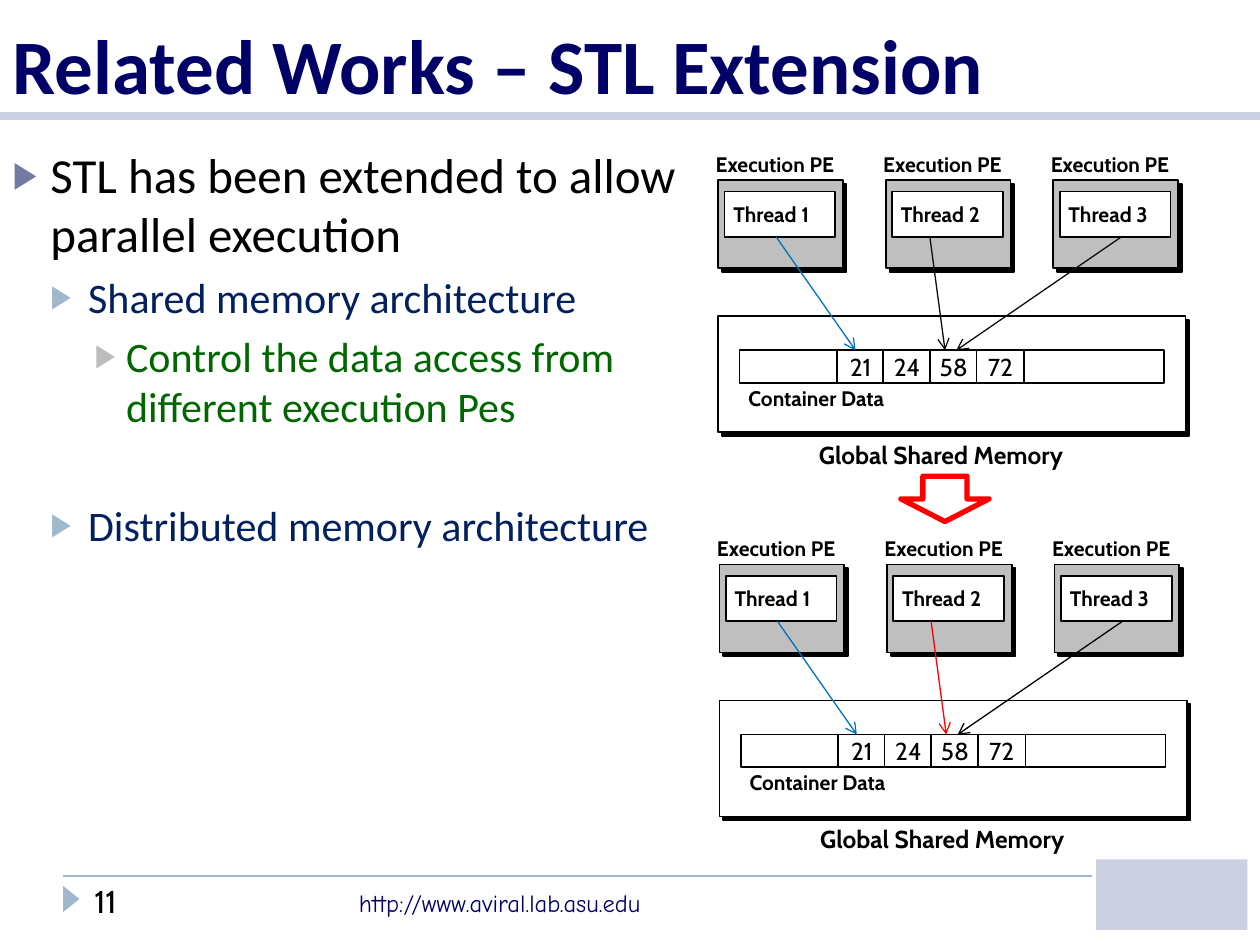
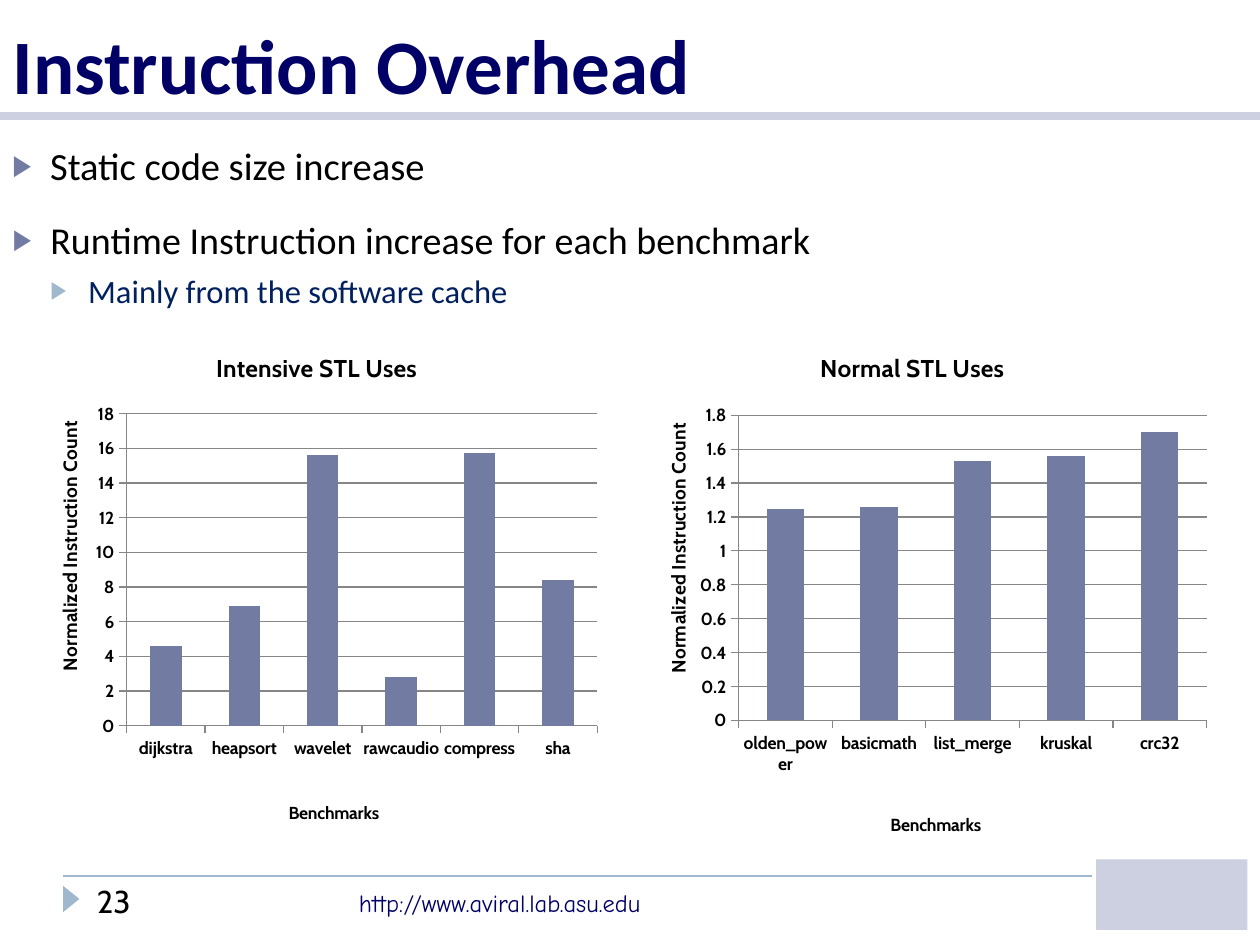
from lxml.etree import SubElement
from pptx import Presentation
from pptx.chart.data import CategoryChartData
from pptx.dml.color import RGBColor
from pptx.enum.chart import XL_CHART_TYPE, XL_TICK_MARK
from pptx.enum.shapes import MSO_CONNECTOR, MSO_SHAPE
from pptx.enum.text import MSO_ANCHOR, MSO_AUTO_SIZE, PP_ALIGN
from pptx.oxml import parse_xml
from pptx.oxml.ns import nsdecls, qn
from pptx.util import Inches, Pt

COLORS = {
    "navy": "000066", "band": "CCD0E0", "sky": "9FB8CD", "slate": "727CA3",
    "silver": "BDBDBD", "black": "000000", "ink": "0D0D0D", "white": "FFFFFF",
    "gray": "BFBFBF", "grid": "868686", "blue": "0070C0", "red": "FF0000",
    "deep": "002060", "green": "006600",
}
LEVELS = [
    {"margin": 0.3, "hang": 0.3, "bullet": "slate", "color": "black"},
    {"margin": 0.6, "hang": 0.3, "bullet": "sky", "color": "deep"},
    {"margin": 0.9, "hang": 0.25, "bullet": "silver", "color": "green"},
]
HEADING_FONT = "Calibri"
LABEL_FONT = "Cabin"


def rgb(name):
    return RGBColor.from_string(COLORS[name])


def style_font(font, size, color="black", face=LABEL_FONT, bold=False):
    font.size = Pt(size)
    font.name = face
    font.bold = bold
    font.color.rgb = rgb(color)


def add_run(paragraph, text, size, color="black", face=LABEL_FONT, bold=False):
    run = paragraph.add_run()
    run.text = text
    style_font(run.font, size, color, face, bold)


def move(shape, left, top, width, height):
    shape.left, shape.top = Inches(left), Inches(top)
    shape.width, shape.height = Inches(width), Inches(height)


def clear_insets(frame):
    frame.margin_left = frame.margin_right = 0
    frame.margin_top = frame.margin_bottom = 0


def add_label(slide, text, left, top, width, height, size, color="black",
              face=LABEL_FONT, bold=False, inset=True):
    frame = slide.shapes.add_textbox(
        Inches(left), Inches(top), Inches(width), Inches(height)).text_frame
    frame.word_wrap = True
    if not inset:
        clear_insets(frame)
    add_run(frame.paragraphs[0], text, size, color, face, bold)


def add_block(slide, left, top, width, height, fill="white", line="black",
              weight=1, preset=MSO_SHAPE.RECTANGLE, shadow=False):
    block = slide.shapes.add_shape(
        preset, Inches(left), Inches(top), Inches(width), Inches(height))
    block.fill.solid()
    block.fill.fore_color.rgb = rgb(fill)
    if line:
        block.line.color.rgb = rgb(line)
        block.line.width = Pt(weight)
    else:
        block.line.fill.background()
    block.shadow.inherit = False
    if shadow:
        effects = block._element.spPr.find(qn("a:effectLst"))
        outer = SubElement(effects, qn("a:outerShdw"), blurRad="0",
                           dist=str(Pt(3)), dir="2700000", algn="tl",
                           rotWithShape="0")
        SubElement(outer, qn("a:srgbClr"), val=COLORS["black"])
    return block


def add_line(slide, start, end, color, weight, arrow=False):
    line = slide.shapes.add_connector(
        MSO_CONNECTOR.STRAIGHT, *(Inches(value) for value in start + end))
    line.line.color.rgb = rgb(color)
    line.line.width = Pt(weight)
    if arrow:
        SubElement(line.line._get_or_add_ln(), qn("a:tailEnd"), type="arrow")
    SubElement(line._element.spPr, qn("a:effectLst"))


def add_frame(slide, title, number, number_left):
    heading = slide.shapes.title
    move(heading, 0, 0, 10, 0.92)
    frame = heading.text_frame
    frame.auto_size = MSO_AUTO_SIZE.NONE
    frame.vertical_anchor = MSO_ANCHOR.BOTTOM
    frame.paragraphs[0].alignment = PP_ALIGN.LEFT
    add_run(frame.paragraphs[0], title, 44, "navy", HEADING_FONT, True)

    add_line(slide, (0, 0.92), (10, 0.92), "band", 5)
    add_line(slide, (0.5, 6.95), (8.67, 6.95), "sky", 1)
    marker = add_block(slide, 0.46, 7.07, 0.21, 0.13, "sky", None,
                       preset=MSO_SHAPE.ISOSCELES_TRIANGLE)
    marker.rotation = 90
    add_label(slide, "http://www.aviral.lab.asu.edu", 2.75, 7, 2.92, 0.34,
              14, "navy", "Comic Neue")
    add_label(slide, number, number_left, 6.95, 1.41, 0.4, 18)
    add_block(slide, 8.7, 6.82, 1.2, 0.56, "band", None)


def write_list(frame, items):
    frame.word_wrap = True
    frame.auto_size = MSO_AUTO_SIZE.NONE
    for index, (level, text, size, space) in enumerate(items):
        paragraph = frame.add_paragraph() if index else frame.paragraphs[0]
        paragraph.level = level
        look = LEVELS[level]
        properties = paragraph._p.get_or_add_pPr()
        properties.set("marL", str(Inches(look["margin"])))
        properties.set("indent", str(-Inches(look["hang"])))
        tint = SubElement(properties, qn("a:buClr"))
        SubElement(tint, qn("a:srgbClr"), val=COLORS[look["bullet"]])
        SubElement(properties, qn("a:buSzPct"), val="76000")
        SubElement(properties, qn("a:buFont"), typeface=HEADING_FONT)
        SubElement(properties, qn("a:buChar"), char="▶")
        paragraph.alignment = PP_ALIGN.LEFT
        paragraph.space_before = Pt(space)
        add_run(paragraph, text, size, look["color"], HEADING_FONT)


def add_body(slide, box, items):
    body = slide.placeholders[1]
    move(body, *box)
    write_list(body.text_frame, items)


def draw_execution_pe(slide, left, top, number):
    add_block(slide, left, top + 0.23, 0.99, 0.7, "gray", shadow=True)
    add_block(slide, left + 0.05, top + 0.32, 0.88, 0.36)
    add_label(slide, f"Thread {number}", left + 0.12, top + 0.4, 0.79, 0.2,
              12, bold=True, inset=False)
    add_label(slide, "Execution PE", left - 0.02, top, 1.07, 0.2,
              12, bold=True, inset=False)


def draw_shared_memory(slide, left, top):
    add_block(slide, left, top, 3.71, 0.92, shadow=True)
    add_block(slide, left + 0.17, top + 0.27, 3.37, 0.26)
    for index, value in enumerate(("21", "24", "58", "72")):
        cell = add_block(slide, left + 0.94 + index * 0.37, top + 0.27,
                         0.38, 0.26)
        frame = cell.text_frame
        clear_insets(frame)
        frame.vertical_anchor = MSO_ANCHOR.MIDDLE
        frame.paragraphs[0].alignment = PP_ALIGN.CENTER
        add_run(frame.paragraphs[0], value, 14)
    add_label(slide, "Container Data", left + 0.24, top + 0.55, 2.43, 0.2,
              12, bold=True, inset=False)
    add_label(slide, "Global Shared Memory", left + 0.8, top + 0.98, 2.43,
              0.24, 14, bold=True, inset=False)


def draw_memory_model(slide, left, top, access_colors):
    for index in range(3):
        draw_execution_pe(slide, left + index * 1.33, top, index + 1)
    draw_shared_memory(slide, left, top + 1.31)
    accesses = ((0.46, 1.09), (1.68, 1.8), (3.2, 1.89))
    for (start, end), color in zip(accesses, access_colors):
        add_line(slide, (left + start, top + 0.68), (left + end, top + 1.58),
                 color, 0.75, arrow=True)


def set_layout(element, position, **fractions):
    for old in element.findall(qn("c:layout")):
        element.remove(old)
    layout = parse_xml(f"<c:layout {nsdecls('c')}/>")
    manual = SubElement(layout, qn("c:manualLayout"))
    if "w" in fractions:
        SubElement(manual, qn("c:layoutTarget"), val="inner")
    for axis in "xy":
        SubElement(manual, qn(f"c:{axis}Mode"), val="edge")
    for key, value in fractions.items():
        SubElement(manual, qn(f"c:{key}"), val=str(value))
    element.insert(position, layout)


def write_chart_title(title, text, size, x, y):
    add_run(title.text_frame.paragraphs[0], text, size, bold=True)
    set_layout(title._element, 1, x=x, y=y)


def add_benchmark_chart(slide, box, title, counts, maximum, unit, plot):
    data = CategoryChartData()
    data.categories = list(counts)
    data.add_series("Series 1", list(counts.values()))
    chart = slide.shapes.add_chart(
        XL_CHART_TYPE.COLUMN_CLUSTERED,
        *(Inches(value) for value in box), data).chart
    style_font(chart.font, 10, bold=True)
    chart.has_legend = False
    chart.has_title = True
    write_chart_title(chart.chart_title, title, 14, 0.28, 0)

    bars = chart.plots[0]
    bars.vary_by_categories = False
    bars.gap_width = 150
    fill = bars.series[0].format.fill
    fill.solid()
    fill.fore_color.rgb = rgb("slate")

    benchmarks, instructions = chart.category_axis, chart.value_axis
    for axis in (benchmarks, instructions):
        axis.has_title = True
        axis.major_tick_mark = XL_TICK_MARK.OUTSIDE
        axis.format.line.color.rgb = rgb("grid")
        style_font(axis.tick_labels.font, 10, bold=True)
    write_chart_title(benchmarks.axis_title, "Benchmarks", 10, 0.41, 0.94)
    write_chart_title(instructions.axis_title, "Normalized Instruction Count",
                      11, 0, 0.15)
    instructions.minimum_scale = 0
    instructions.maximum_scale = maximum
    instructions.major_unit = unit
    instructions.has_major_gridlines = True
    instructions.major_gridlines.format.line.color.rgb = rgb("grid")
    x, y, width, height = plot
    set_layout(chart._chartSpace.chart.plotArea, 0, x=x, y=y, w=width, h=height)


def build_stl_extension(slide):
    add_frame(slide, "Related Works – STL Extension", "11", 0.65)
    add_body(slide, (0, 1.1, 5.66, 3.65), [
        (0, "STL has been extended to allow parallel execution", 28, 0),
        (1, "Shared memory architecture", 24, 5),
        (2, "Control the data access from different execution Pes", 24, 5),
        (1, "Distributed memory architecture", 24, 39),
    ])
    draw_memory_model(slide, 5.7, 1.2, ("blue", "ink", "ink"))
    add_block(slide, 7.15, 3.78, 0.7, 0.36, line="red", weight=3,
              preset=MSO_SHAPE.DOWN_ARROW)
    draw_memory_model(slide, 5.71, 4.25, ("blue", "red", "black"))


def build_instruction_overhead(slide):
    add_frame(slide, "Instruction Overhead", "23", 0.67)
    add_body(slide, (0, 1.67, 8.17, 0.75), [
        (0, "Runtime Instruction increase for each benchmark", 21.7, 0),
        (1, "Mainly from the software cache", 18.6, 5),
    ])
    code_size = slide.shapes.add_textbox(
        Inches(0), Inches(1.08), Inches(9.92), Inches(0.45))
    write_list(code_size.text_frame, [(0, "Static code size increase", 22, 0)])
    add_benchmark_chart(
        slide, (0.42, 2.75, 4.5, 3.83), "Intensive STL Uses",
        {"dijkstra": 4.6, "heapsort": 6.9, "wavelet": 15.6,
         "rawcaudio": 2.8, "compress": 15.7, "sha": 8.4},
        18, 2, (0.13, 0.14, 0.83, 0.65))
    add_benchmark_chart(
        slide, (5.25, 2.75, 4.37, 3.92), "Normal STL Uses",
        {"olden_power": 1.25, "basicmath": 1.26, "list_merge": 1.53,
         "kruskal": 1.56, "crc32": 1.7},
        1.8, 0.2, (0.14, 0.14, 0.85, 0.62))


def main():
    deck = Presentation()
    deck.slide_width, deck.slide_height = Inches(10), Inches(7.5)
    for build in (build_stl_extension, build_instruction_overhead):
        build(deck.slides.add_slide(deck.slide_layouts[1]))
    deck.save("out.pptx")


if __name__ == "__main__":
    main()
